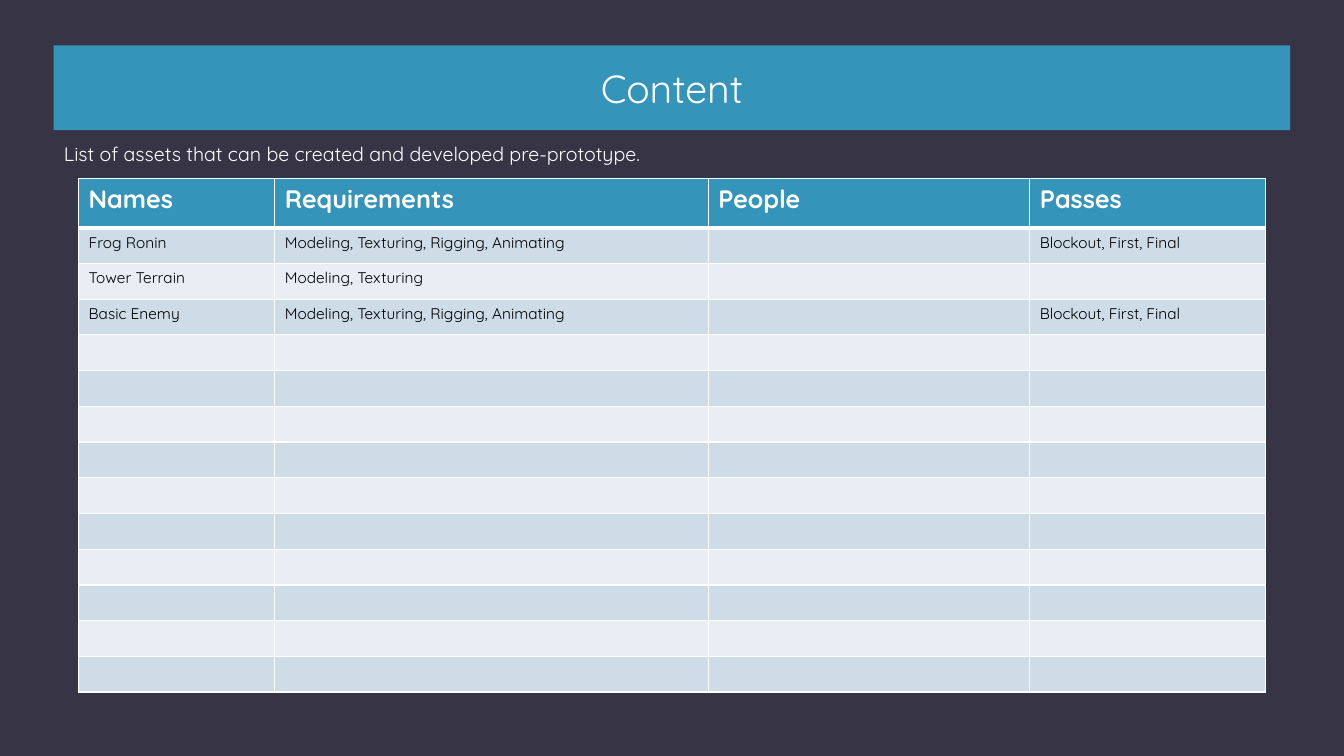
import pptx
import pptx.util
import pptx.dml.color
import pptx.enum.text
import pptx.oxml
import pptx.oxml.ns

HEADERS = ["Names", "Requirements", "People", "Passes"]
ASSETS = [
    ["Frog Ronin", "Modeling, Texturing, Rigging, Animating", "", "Blockout, First, Final"],
    ["Tower Terrain", "Modeling, Texturing", "", ""],
    ["Basic Enemy", "Modeling, Texturing, Rigging, Animating", "", "Blockout, First, Final"],
]
EMPTY_ROWS = 10
COLUMN_SHARES = [14.6, 32.25, 23.93, 17.55]
HEADER_SHARE = 6.53


def color(value):
    return pptx.dml.color.RGBColor.from_string(value)


def write(tf, text, size=11, fill="000000", bold=False, align="LEFT", font="Quicksand"):
    p = tf.paragraphs[0]
    p.alignment = getattr(pptx.enum.text.PP_ALIGN, align)
    p.line_spacing = 1.0
    p.space_before = pptx.util.Pt(0)
    if not text:
        p._p.get_or_add_endParaRPr().set("sz", str(size * 100))
        return p
    r = p.add_run()
    r.text = text
    r.font.name = font
    r.font.size = pptx.util.Pt(size)
    r.font.bold = bold
    r.font.color.rgb = color(fill)
    return p


class Deck:
    accent = "3494BA"
    white = "FFFFFF"
    bands = ["CEDCE7", "E8EEF3"]

    def __init__(self, prs, background):
        self.prs = prs
        self.s = prs.slides.add_slide(prs.slide_layouts[1])
        self.s.background.fill.solid()
        self.s.background.fill.fore_color.rgb = color(background)

    def across(self, share):
        return round(self.prs.slide_width * share / 100)

    def down(self, share):
        return round(self.prs.slide_height * share / 100)

    def box(self, x, y, w, h):
        return self.across(x), self.down(y), self.across(w), self.down(h)

    def place(self, sp, area, anchor):
        sp.left, sp.top, sp.width, sp.height = self.box(*area)
        tf = sp.text_frame
        tf.word_wrap = True
        tf.auto_size = pptx.enum.text.MSO_AUTO_SIZE.NONE
        tf.vertical_anchor = getattr(pptx.enum.text.MSO_ANCHOR, anchor)
        return tf

    def title(self, text, area):
        sp = self.s.shapes.title
        sp.fill.solid()
        sp.fill.fore_color.rgb = color(self.accent)
        write(self.place(sp, area, "MIDDLE"), text, size=28, fill=self.white, align="CENTER")

    def body(self, text, area):
        tf = self.place(self.s.placeholders[1], area, "TOP")
        p = write(tf, text, size=14, fill=self.white)
        pPr = p._p.get_or_add_pPr()
        pPr.set("marL", "0")
        pPr.set("indent", "0")
        pPr.append(pptx.oxml.parse_xml(f"<a:buNone {pptx.oxml.ns.nsdecls('a')}/>"))

    def border(self, cell, **widths):
        for side in "LRTB":
            width = pptx.util.Pt(widths.get(side, 1))
            cell._tc.get_or_add_tcPr().append(pptx.oxml.parse_xml(
                f'<a:ln{side} {pptx.oxml.ns.nsdecls("a")} w="{width}"><a:solidFill>'
                f'<a:srgbClr val="{self.white}"/></a:solidFill></a:ln{side}>'))

    def table(self, rows, area, column_shares, header_share):
        frame = self.s.shapes.add_table(len(rows), len(column_shares), *self.box(*area))
        table = frame.table
        for column, share in zip(table.columns, column_shares):
            column.width = self.across(share)
        row_share = (area[3] - header_share) / (len(rows) - 1)
        for i, texts in enumerate(rows):
            header = i == 0
            table.rows[i].height = self.down(header_share if header else row_share)
            for j, text in enumerate(texts):
                cell = table.cell(i, j)
                self.border(cell, T=3 if i == 1 else 1, B=3 if header else 1)
                cell.fill.solid()
                cell.fill.fore_color.rgb = color(self.accent if header else self.bands[(i - 1) % 2])
                style = dict(size=18, fill=self.white, bold=True) if header else {}
                write(cell.text_frame, text, **style)


def main():
    prs = pptx.Presentation()
    prs.slide_width = pptx.util.Inches(13.33)
    prs.slide_height = pptx.util.Inches(7.5)
    deck = Deck(prs, "373545")
    deck.title("Content", (4, 6, 92, 11.2))
    deck.body("List of assets that can be created and developed pre-prototype.",
              (4, 18.13, 66.83, 4.53))
    rows = [HEADERS] + ASSETS + [[""] * len(HEADERS)] * EMPTY_ROWS
    deck.table(rows, (5.85, 23.6, sum(COLUMN_SHARES), 68), COLUMN_SHARES, HEADER_SHARE)
    prs.save("out.pptx")


if __name__ == "__main__":
    main()
